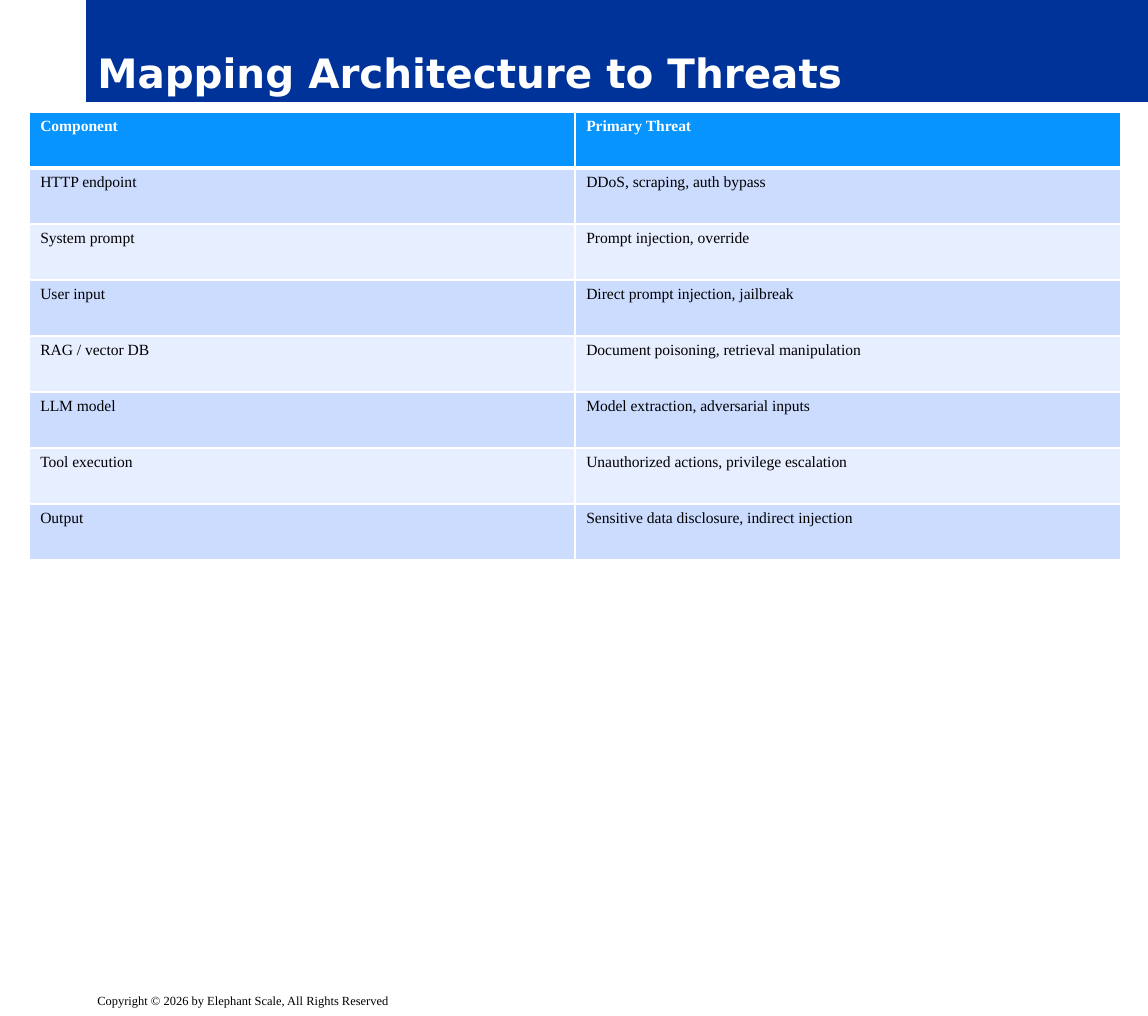
from dataclasses import dataclass
from typing import NamedTuple

import lxml.etree
import pptx
import pptx.dml.color
import pptx.enum.shapes
import pptx.enum.text
import pptx.oxml
import pptx.oxml.ns
import pptx.util

Pt = pptx.util.Pt


class TextStyle(NamedTuple):
    font: str
    size: float
    color: str
    bold: bool = False


class Box(NamedTuple):
    left: float
    top: float
    width: float
    height: float


class ThreatMapping(NamedTuple):
    component: str
    threat: str


@dataclass(frozen=True)
class Theme:
    banner: str = "003399"
    header: str = "0794FF"
    bands: tuple[str, str] = ("CCDCFF", "E7EEFF")
    grid: str = "FFFFFF"
    grid_width: float = 1
    header_rule_width: float = 3
    title_text: TextStyle = TextStyle("DejaVu Sans", 26, "FFFFFF", True)
    header_text: TextStyle = TextStyle("Times New Roman", 10, "FFFFFF", True)
    body_text: TextStyle = TextStyle("Times New Roman", 10, "000000")
    footer_text: TextStyle = TextStyle("Times New Roman", 8, "000000")


THEME = Theme()
SLIDE_WIDTH, SLIDE_HEIGHT = 738, 653.04
BANNER_BOX = Box(55.44, 0, 682.56, 65.52)
TABLE_BOX = Box(18.72, 72, 702, 288)
FOOTER_BOX = Box(55.44, 635.04, 702, 18)

MAPPINGS = [
    ThreatMapping("Component", "Primary Threat"),
    ThreatMapping("HTTP endpoint", "DDoS, scraping, auth bypass"),
    ThreatMapping("System prompt", "Prompt injection, override"),
    ThreatMapping("User input", "Direct prompt injection, jailbreak"),
    ThreatMapping("RAG / vector DB", "Document poisoning, retrieval manipulation"),
    ThreatMapping("LLM model", "Model extraction, adversarial inputs"),
    ThreatMapping("Tool execution", "Unauthorized actions, privilege escalation"),
    ThreatMapping("Output", "Sensitive data disclosure, indirect injection"),
]


def rgb(color: str) -> pptx.dml.color.RGBColor:
    return pptx.dml.color.RGBColor.from_string(color)


def write(frame, text: str, style: TextStyle) -> None:
    paragraph = frame.paragraphs[0]
    paragraph.alignment = pptx.enum.text.PP_ALIGN.LEFT
    run = paragraph.add_run()
    run.text = text
    run.font.name = style.font
    run.font.size = Pt(style.size)
    run.font.bold = style.bold
    run.font.color.rgb = rgb(style.color)


def set_borders(cell, top: float, bottom: float) -> None:
    """Add cell borders; they must come before the cell's fill."""
    side = THEME.grid_width
    widths = {"lnL": side, "lnR": side, "lnT": top, "lnB": bottom}
    properties = cell._tc.get_or_add_tcPr()
    for position, (tag, width) in enumerate(widths.items()):
        border = lxml.etree.Element(pptx.oxml.ns.qn(f"a:{tag}"), w=str(Pt(width)))
        fill = lxml.etree.SubElement(border, pptx.oxml.ns.qn("a:solidFill"))
        lxml.etree.SubElement(fill, pptx.oxml.ns.qn("a:srgbClr"), val=THEME.grid)
        properties.insert(position, border)


def add_banner(slide, title: str) -> None:
    banner = slide.shapes.add_shape(
        pptx.enum.shapes.MSO_SHAPE.RECTANGLE, *map(Pt, BANNER_BOX))
    banner.shadow.inherit = False
    banner.fill.solid()
    banner.fill.fore_color.rgb = rgb(THEME.banner)
    banner.line.fill.background()
    banner.text_frame.word_wrap = True
    banner.text_frame.vertical_anchor = pptx.enum.text.MSO_ANCHOR.BOTTOM
    write(banner.text_frame, title, THEME.title_text)


def add_threat_table(slide, mappings: list[ThreatMapping]) -> None:
    threats = slide.shapes.add_table(
        len(mappings), len(ThreatMapping._fields), *map(Pt, TABLE_BOX)).table
    for row, mapping in enumerate(mappings):
        is_header = row == 0
        color = THEME.header if is_header else THEME.bands[(row - 1) % 2]
        style = THEME.header_text if is_header else THEME.body_text
        top = THEME.header_rule_width if row == 1 else THEME.grid_width
        bottom = THEME.header_rule_width if is_header else THEME.grid_width
        for column, text in enumerate(mapping):
            cell = threats.cell(row, column)
            cell.fill.solid()
            cell.fill.fore_color.rgb = rgb(color)
            set_borders(cell, top, bottom)
            write(cell.text_frame, text, style)


def add_footer(slide, notice: str) -> None:
    footer = slide.shapes.add_textbox(*map(Pt, FOOTER_BOX))
    footer.text_frame.word_wrap = True
    write(footer.text_frame, notice, THEME.footer_text)


def main() -> None:
    deck = pptx.Presentation()
    deck.slide_width, deck.slide_height = Pt(SLIDE_WIDTH), Pt(SLIDE_HEIGHT)
    slide = deck.slides.add_slide(deck.slide_layouts[6])

    # Title banner
    add_banner(slide, "Mapping Architecture to Threats")
    # Copyright line
    add_footer(slide, "Copyright © 2026 by Elephant Scale, All Rights Reserved")
    # Components and their threats
    add_threat_table(slide, MAPPINGS)

    deck.save("out.pptx")


if __name__ == "__main__":
    main()
